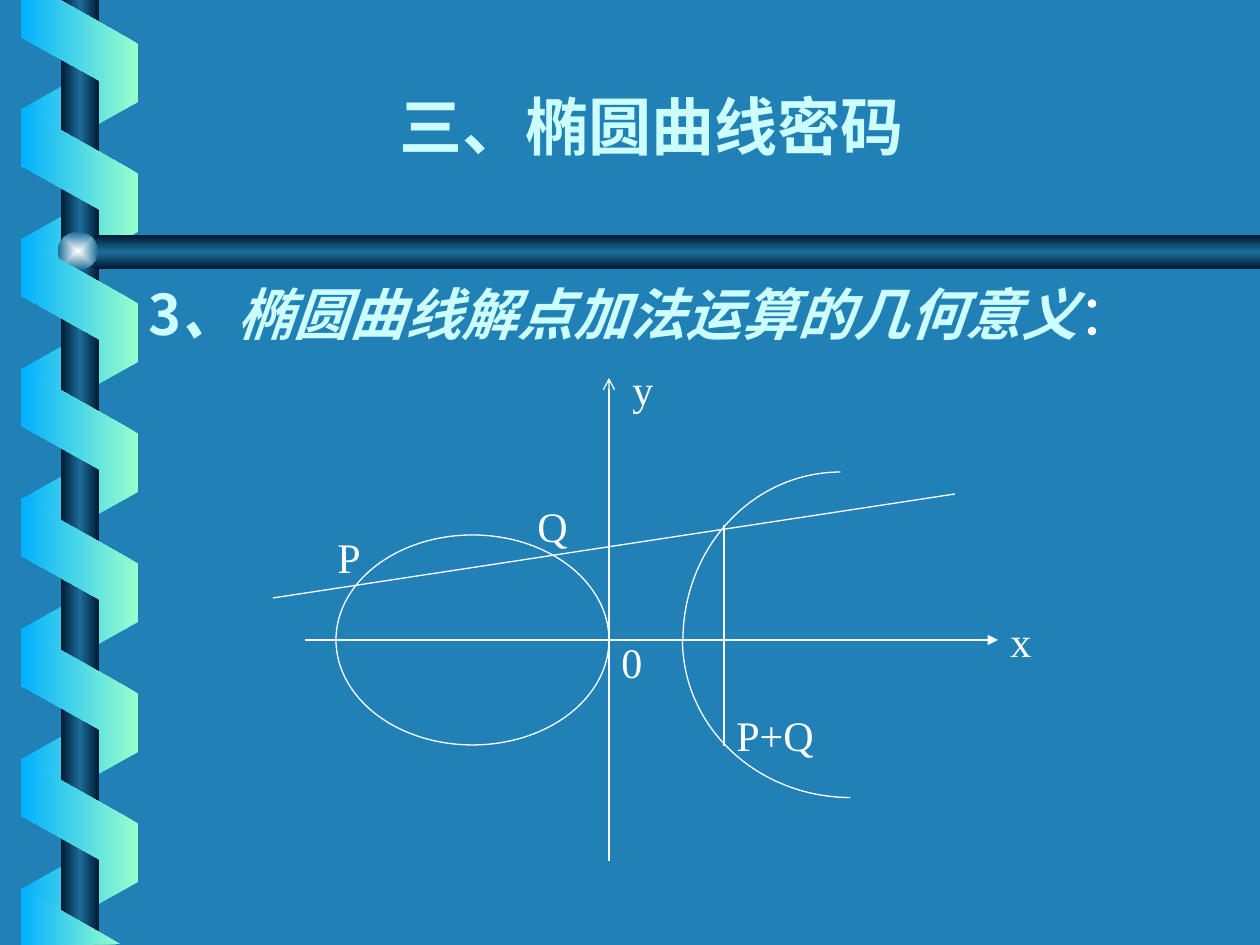
"""Build a slide on the geometric meaning of point addition on an elliptic curve."""
import dataclasses
import typing

import lxml.etree as etree
import pptx
import pptx.dml.color
import pptx.enum.shapes
import pptx.enum.text
import pptx.oxml.ns
import pptx.util

qn = pptx.oxml.ns.qn
Kind = pptx.enum.shapes.MSO_SHAPE
Align = pptx.enum.text.PP_ALIGN
Anchor = pptx.enum.text.MSO_ANCHOR
Fit = pptx.enum.text.MSO_AUTO_SIZE
SCALE = 914400 / 126


@dataclasses.dataclass(frozen=True)
class Theme:
    back: str = "2181B7"
    ink: str = "FFFFFF"
    pale: str = "CCFFFF"
    sky: str = "01B0FF"
    mint: str = "99FFCC"
    night: str = "001932"
    steel: str = "1C6D9A"
    shine: str = "FEFFFF"
    title: int = 36
    body: int = 32
    label: int = 24
    line: float = 0.75
    serif: str = "Times New Roman"
    sans: str = "Noto Sans CJK SC"
    narrow: str = "Arial Narrow"


THEME = Theme()


class Box(typing.NamedTuple):
    left: int
    top: int
    width: int
    height: int


class Line(typing.NamedTuple):
    start: tuple[int, int]
    end: tuple[int, int]
    head: str = ""
    tail: str = ""


class Label(typing.NamedTuple):
    text: str
    box: Box


LINES = [
    Line((305, 640), (998, 640), tail="triangle"),
    Line((609, 378), (609, 861), head="arrow"),
    Line((273, 598), (955, 494)),
    Line((724, 525), (724, 746)),
]
LABELS = [
    Label("x", Box(998, 609, 84, 63)),
    Label("y", Box(620, 357, 63, 63)),
    Label("0", Box(609, 630, 73, 63)),
    Label("P", Box(325, 525, 73, 63)),
    Label("Q", Box(525, 494, 73, 63)),
    Label("P+Q", Box(724, 703, 105, 63)),
]


def px(size: float) -> int:
    return round(size * SCALE)


def tint(code: str):
    return pptx.dml.color.RGBColor.from_string(code)


def place(shapes, kind, box: Box):
    shape = shapes.add_shape(kind, *map(px, box))
    shape.shadow.inherit = False
    return shape


def blend(shape, *codes: str, angle: int | None = None) -> None:
    shape.shadow.inherit = False
    shape.line.fill.background()
    shape.fill.gradient()
    grad = shape.element.spPr.find(qn("a:gradFill"))
    grad.clear()
    grad.set("rotWithShape", "0")
    stops = etree.SubElement(grad, qn("a:gsLst"))
    for rank, code in enumerate(codes):
        part = 100000 * rank // (len(codes) - 1)
        stop = etree.SubElement(stops, qn("a:gs"), pos=str(part))
        etree.SubElement(stop, qn("a:srgbClr"), val=code)
    if angle is None:
        shade = etree.SubElement(grad, qn("a:path"), path="rect")
        sides = dict.fromkeys("ltrb", "50000")
        etree.SubElement(shade, qn("a:fillToRect"), **sides)
    else:
        etree.SubElement(grad, qn("a:lin"), ang=str(angle * 60000), scaled="0")


def shape_of(shapes, points: list[tuple[int, int]]):
    first, *rest = points
    path = shapes.build_freeform(*first, scale=SCALE)
    path.add_line_segments(rest, close=True)
    return path.convert_to_shape()


def twist(shapes, top: int, front: bool) -> None:
    band = place(shapes, Kind.PARALLELOGRAM, Box(18, top, 123, 117))
    band.adjustments[0] = 0.56
    band.rotation = 270 if front else 90
    if front:
        blend(band, THEME.mint, THEME.sky, angle=180)
    else:
        band.element.spPr.find(qn("a:xfrm")).set("flipH", "1")
        blend(band, THEME.sky, THEME.mint, angle=180)


def spiral(shapes) -> None:
    for turn in range(7):
        twist(shapes, 47 + 130 * turn, front=False)
    rod = place(shapes, Kind.RECTANGLE, Box(61, 0, 38, 945))
    bar = shape_of(shapes, [(1260, 235), (96, 235), (76, 252), (96, 269), (1260, 269)])
    for tube, angle in ((rod, 180), (bar, 90)):
        blend(tube, THEME.night, THEME.steel, THEME.night, angle=angle)
    knob = place(shapes, Kind.OVAL, Box(58, 232, 40, 38))
    blend(knob, THEME.shine, THEME.steel)
    for turn in range(6):
        twist(shapes, 111 + 130 * turn, front=True)
    upper = [(21, 0), (21, 37), (138, 102), (138, 44), (60, 0)]
    lower = [(120, 944), (21, 888), (21, 945)]
    for points in (upper, lower):
        blend(shape_of(shapes, points), THEME.mint, THEME.sky, angle=180)


def stroke(shape) -> None:
    shape.line.color.rgb = tint(THEME.ink)
    shape.line.width = pptx.util.Pt(THEME.line)


def curve(shapes, kind, box: Box, turn: int = 0) -> None:
    shape = place(shapes, kind, box)
    shape.fill.background()
    stroke(shape)
    shape.rotation = turn
    if kind == Kind.ARC:
        shape.adjustments[0] = 108
        shape.adjustments[1] = 162


def draw(shapes, line: Line) -> None:
    ends = map(px, line.start + line.end)
    link = shapes.add_connector(pptx.enum.shapes.MSO_CONNECTOR.STRAIGHT, *ends)
    stroke(link)
    props = link._element.spPr
    for name, kind in (("a:headEnd", line.head), ("a:tailEnd", line.tail)):
        if kind:
            etree.SubElement(props.find(qn("a:ln")), qn(name), type=kind)
    etree.SubElement(props, qn("a:effectLst"))


def frame(shapes, box: Box, align=Align.LEFT, anchor=Anchor.TOP, before: int = 0, fit=Fit.NONE):
    area = shapes.add_textbox(*map(px, box)).text_frame
    area.word_wrap = True
    area.auto_size = fit
    area.vertical_anchor = anchor
    para = area.paragraphs[0]
    para.alignment = align
    para.space_before = pptx.util.Pt(before)
    return para


def write(para, text: str, *, size: int, face: str = THEME.sans, color: str = THEME.pale,
          bold: bool = False, slant: bool = False) -> None:
    run = para.add_run()
    run.text = text
    font = run.font
    font.size, font.name = pptx.util.Pt(size), face
    font.bold, font.italic = bold, slant
    font.color.rgb = tint(color)
    etree.SubElement(run._r.get_or_add_rPr(), qn("a:ea"), typeface=face)


def main() -> None:
    deck = pptx.Presentation()
    deck.slide_width, deck.slide_height = px(1260), px(945)
    slide = deck.slides.add_slide(deck.slide_layouts[6])
    slide.background.fill.solid()
    slide.background.fill.fore_color.rgb = tint(THEME.back)
    shapes = slide.shapes
    spiral(shapes)

    head = frame(shapes, Box(116, 53, 1071, 116), Align.CENTER, Anchor.BOTTOM)
    for text, face in (("三", THEME.sans), ("、", THEME.narrow), ("椭圆曲线密码", THEME.sans)):
        write(head, text, size=THEME.title, face=face, bold=True)
    body = frame(shapes, Box(136, 273, 1092, 672), Align.JUSTIFY, before=8)
    props = body._p.get_or_add_pPr()
    props.set("marL", str(px(48)))
    props.set("indent", str(px(-48)))
    write(body, "3", size=THEME.body, bold=True)
    write(body, "、椭圆曲线解点加法运算的几何意义", size=THEME.body, bold=True, slant=True)
    write(body, "：", size=THEME.body, color=THEME.ink)

    for line in LINES:
        draw(shapes, line)
    curve(shapes, Kind.OVAL, Box(336, 535, 273, 210))
    curve(shapes, Kind.ARC, Box(683, 472, 315, 336))
    curve(shapes, Kind.ARC, Box(693, 472, 315, 336), turn=270)
    for label in LABELS:
        para = frame(shapes, label.box, before=15, fit=Fit.SHAPE_TO_FIT_TEXT)
        write(para, label.text, size=THEME.label, face=THEME.serif, color=THEME.ink)
    deck.save("out.pptx")


if __name__ == "__main__":
    main()
